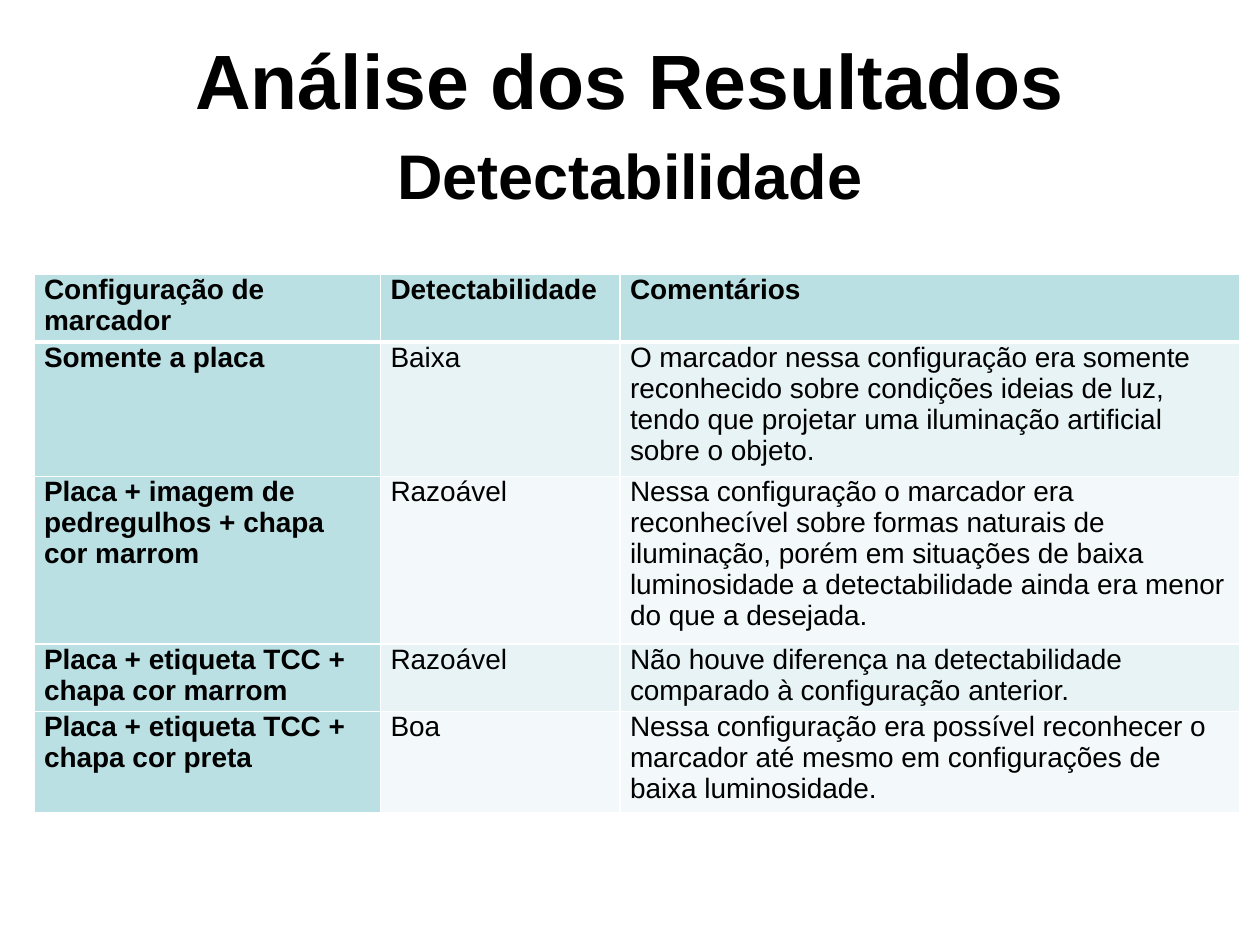
from lxml import etree
from pptx import Presentation, util as u
from pptx.dml.color import RGBColor
from pptx.enum import text
from pptx.oxml import ns

WIDTH, HEIGHT = 10, 7.5
COLORS = {"ink": "000000", "rule": "FFFFFF", "label": "BBE0E3",
          "odd": "E7F3F4", "even": "F3F9FA"}
COLUMNS = [2.75, 1.9, 4.92]
ROWS = [0.51, 1.02, 1.28, 0.51, 0.77]
RESULTS = [
    ("Configuração de marcador", "Detectabilidade", "Comentários"),
    ("Somente a placa", "Baixa",
     "O marcador nessa configuração era somente reconhecido sobre condições "
     "ideias de luz, tendo que projetar uma iluminação artificial sobre o objeto."),
    ("Placa + imagem de pedregulhos + chapa cor marrom", "Razoável",
     "Nessa configuração o marcador era reconhecível sobre formas naturais de "
     "iluminação, porém em situações de baixa luminosidade a detectabilidade "
     "ainda era menor do que a desejada."),
    ("Placa + etiqueta TCC + chapa cor marrom", "Razoável",
     "Não houve diferença na detectabilidade comparado à configuração anterior."),
    ("Placa + etiqueta TCC + chapa cor preta", "Boa",
     "Nessa configuração era possível reconhecer o marcador até mesmo em "
     "configurações de baixa luminosidade."),
]


def write(frame, wording, size, bold=False, align=text.PP_ALIGN.LEFT):
    """Write one formatted paragraph into a text frame."""
    frame.word_wrap = True
    paragraph = frame.paragraphs[0]
    paragraph.alignment = align
    run = paragraph.add_run()
    run.text = wording
    run.font.name = "Arial"
    run.font.size = u.Pt(size)
    run.font.bold = bold
    run.font.color.rgb = RGBColor.from_string(COLORS["ink"])


def add_heading(slide, box, wording, size):
    """Place a centred bold heading in the given box."""
    heading = slide.shapes.add_textbox(*map(u.Inches, box)).text_frame
    heading.vertical_anchor = text.MSO_ANCHOR.MIDDLE
    write(heading, wording, size, bold=True, align=text.PP_ALIGN.CENTER)


def add_borders(cell, widths):
    """Draw the borders of a cell from a side-to-points mapping."""
    properties = cell._tc.get_or_add_tcPr()
    for side, width in widths.items():
        border = etree.SubElement(properties, ns.qn(f"a:ln{side}"), w=str(u.Pt(width)))
        fill = etree.SubElement(border, ns.qn("a:solidFill"))
        etree.SubElement(fill, ns.qn("a:srgbClr"), val=COLORS["rule"])


def add_results(slide, left, top):
    """Place the results table with its top left corner at the given point."""
    box = map(u.Inches, (left, top, sum(COLUMNS), sum(ROWS)))
    results = slide.shapes.add_table(len(ROWS), len(COLUMNS), *box).table
    for column, width in zip(results.columns, COLUMNS):
        column.width = u.Inches(width)
    for r, (row, height) in enumerate(zip(results.rows, ROWS)):
        row.height = u.Inches(height)
        for c, cell in enumerate(row.cells):
            is_label = r == 0 or c == 0
            cell.margin_left = cell.margin_right = u.Inches(0.08)
            cell.margin_top = cell.margin_bottom = 0
            add_borders(cell, {"L": 1, "R": 1, "T": 3 if r == 1 else 1,
                               "B": 3 if r == 0 else 1})
            shade = "label" if is_label else "odd" if r % 2 else "even"
            cell.fill.solid()
            cell.fill.fore_color.rgb = RGBColor.from_string(COLORS[shade])
            write(cell.text_frame, RESULTS[r][c], 16, bold=is_label)


def main():
    """Build and save the slide."""
    deck = Presentation()
    deck.slide_width, deck.slide_height = u.Inches(WIDTH), u.Inches(HEIGHT)
    slide = deck.slides.add_slide(deck.slide_layouts[6])
    margin, band = WIDTH / 20, HEIGHT / 6
    add_heading(slide, (margin, 0, WIDTH - 2 * margin, band),
                "Análise dos Resultados", 44)
    add_heading(slide, (margin, 0.76, WIDTH - 2 * margin, band),
                "Detectabilidade", 36)
    add_results(slide, 0.27, 2.18)
    deck.save("out.pptx")


if __name__ == "__main__":
    main()
